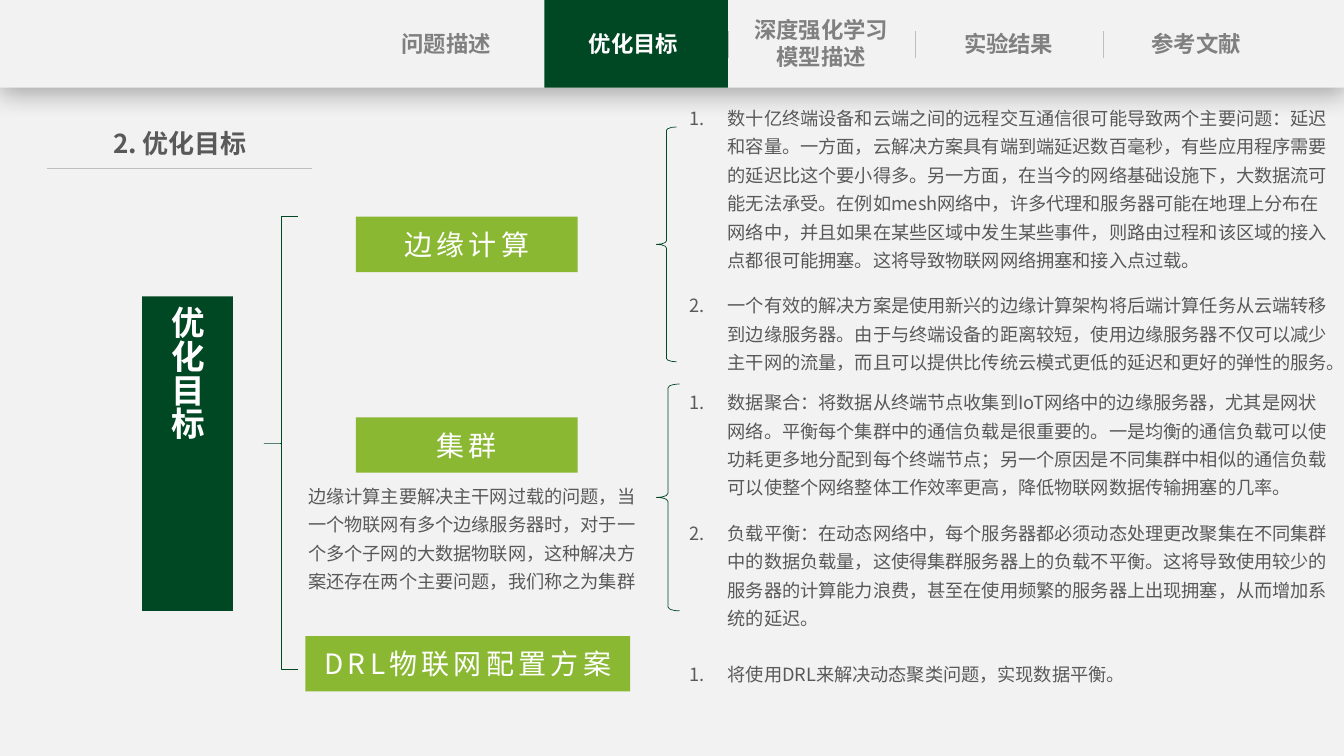
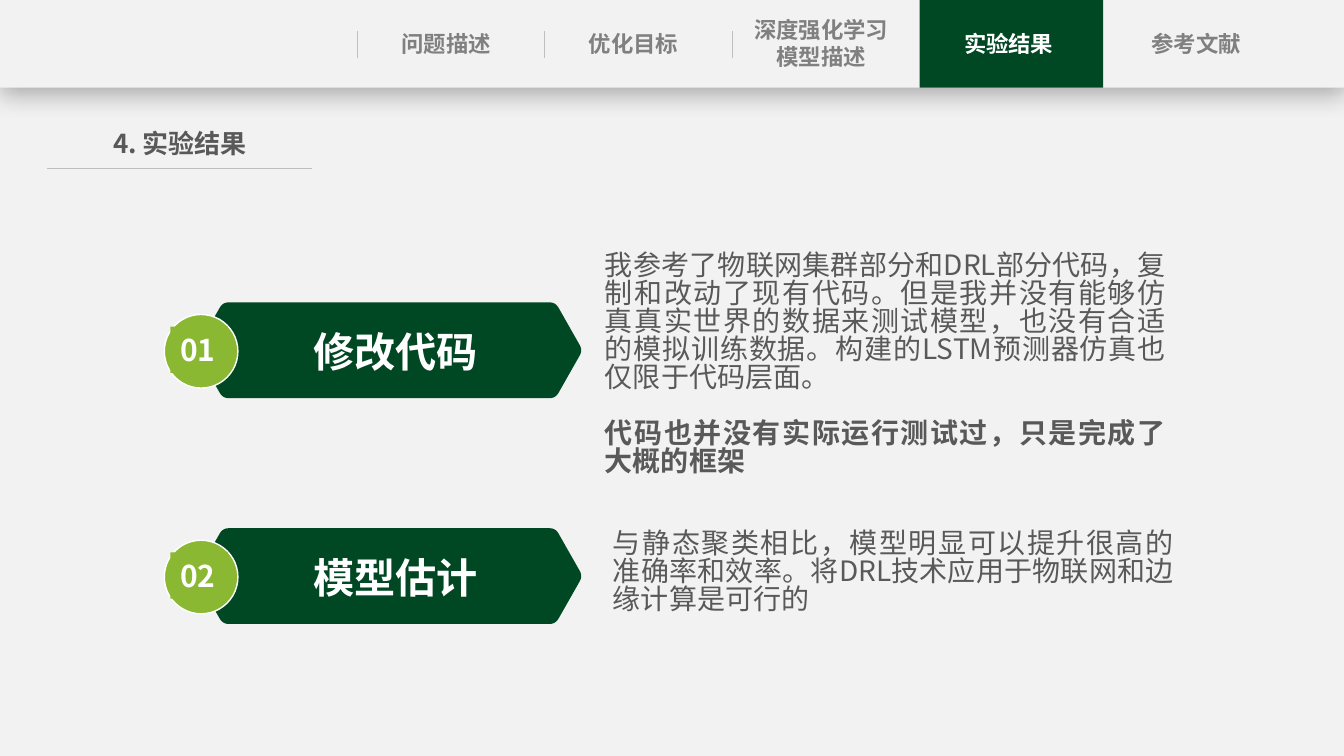
import pptx
import pptx.dml.color
import pptx.enum.lang
import pptx.enum.shapes
import pptx.enum.text
import pptx.oxml
import pptx.oxml.ns
import pptx.util
from lxml import etree

# The grid has 133.3 columns and 75 rows, each a tenth of an inch.
COLUMNS, ROWS = 133.3, 75
FONT = "Noto Sans CJK SC"
PALE, DARK, GREEN = "F2F2F2", "004723", "8AB833"
WHITE, RULE, MUTED, INK = "FFFFFF", "BFBFBF", "808080", "595959"

PRESET = pptx.enum.shapes.MSO_SHAPE
ANCHOR = pptx.enum.text.MSO_ANCHOR
ALIGN = pptx.enum.text.PP_ALIGN
Pt = pptx.util.Pt

CENTER = {"alignment": ALIGN.CENTER}
LOOSE = {"line_spacing": 1.3, "space_after": Pt(6)}
EXACT = {"alignment": ALIGN.JUSTIFY, "line_spacing": Pt(20)}
STYLES = {
    "tab": dict(size=16, color=MUTED, bold=True, paragraph=CENTER),
    "active tab": dict(size=16, color=WHITE, bold=True, paragraph=CENTER),
    "title": dict(size=18.6, color=INK, bold=True, paragraph=CENTER),
    "pillar": dict(size=24, color=WHITE, bold=True, paragraph={"alignment": ALIGN.LEFT}),
    "topic": dict(size=20, color=WHITE, paragraph=CENTER, spacing=3),
    "note": dict(size=13, color=INK, paragraph=LOOSE),
    "item": dict(size=13, color=INK, paragraph=LOOSE, numbered=True),
    "next item": dict(size=13, color=INK, numbered=True,
                      paragraph={**LOOSE, "space_before": Pt(6)}),
    "body": dict(size=20, color=INK, paragraph=EXACT),
    "strong body": dict(size=20, color=INK, bold=True,
                        paragraph={**EXACT, "space_before": Pt(20)}),
    "badge": dict(size=21.4, color=WHITE, bold=True, paragraph={"alignment": ALIGN.LEFT}),
    "step": dict(size=29.4, color=WHITE, bold=True, paragraph=CENTER),
}
NO_INSETS = dict.fromkeys(("margin_left", "margin_top", "margin_right", "margin_bottom"), 0)
NO_SIDES = {"margin_left": 0, "margin_right": 0}
TABS = ["问题描述", "优化目标", "深度强化学习模型描述", "实验结果", "参考文献"]
TAB_START, TAB_PITCH, TAB_WIDTH, HEADER_HEIGHT = 35.4, 18.6, 18.2, 8.7


def grid(*lengths):
    return [pptx.util.Inches(length / 10) for length in lengths]


def inside(box, left, top, width, height):
    """Turn a place relative to the box into a place on the slide."""
    return box[0] + left, box[1] + top, width, height


def rgb(color):
    return pptx.dml.color.RGBColor.from_string(color)


def set_values(target, values):
    for name, value in values.items():
        setattr(target, name, value)


def paint(shape, fill=None, line=None, width=0.5):
    shape.shadow.inherit = False
    if fill:
        shape.fill.solid()
        shape.fill.fore_color.rgb = rgb(fill)
    else:
        shape.fill.background()
    if line:
        shape.line.color.rgb = rgb(line)
        shape.line.width = Pt(width)
    else:
        shape.line.fill.background()
    return shape


def add_preset(shapes, preset, box, **colors):
    return paint(shapes.add_shape(preset, *grid(*box)), **colors)


def add_rule(slide, start, end):
    connector = slide.shapes.add_connector(
        pptx.enum.shapes.MSO_CONNECTOR.STRAIGHT, *grid(*start, *end))
    connector.line.color.rgb = rgb(RULE)
    connector.line.width = Pt(0.5)
    etree.SubElement(connector._element.spPr, pptx.oxml.ns.qn("a:effectLst"))


def write(shape, *paragraphs, **frame_values):
    """Fill a shape with (text, style name) paragraphs."""
    frame = shape.text_frame
    set_values(frame, {"word_wrap": True, "auto_size": pptx.enum.text.MSO_AUTO_SIZE.NONE,
                       "vertical_anchor": ANCHOR.TOP, **frame_values})
    for index, (text, style_name) in enumerate(paragraphs):
        style = STYLES[style_name]
        paragraph = frame.add_paragraph() if index else frame.paragraphs[0]
        if style.get("numbered"):
            properties = paragraph._p.get_or_add_pPr()
            indent = pptx.util.Inches(0.38)
            properties.set("marL", str(indent))
            properties.set("indent", str(-indent))
            etree.SubElement(properties, pptx.oxml.ns.qn("a:buAutoNum"), type="arabicPeriod")
        set_values(paragraph, style["paragraph"])
        run = paragraph.add_run()
        run.text = text
        set_values(run.font, {
            "name": FONT, "size": Pt(style["size"]), "bold": style.get("bold", False),
            "language_id": pptx.enum.lang.MSO_LANGUAGE_ID.SIMPLIFIED_CHINESE})
        run.font.color.rgb = rgb(style["color"])
        properties = run._r.get_or_add_rPr()
        etree.SubElement(properties, pptx.oxml.ns.qn("a:ea"), typeface=FONT)
        if "spacing" in style:
            properties.set("spc", str(style["spacing"] * 100))


def add_text(slide, box, *paragraphs, **frame_values):
    write(slide.shapes.add_textbox(*grid(*box)), *paragraphs, **frame_values)


def add_header(slide, active, first_divider):
    """Draw the navigation bar with its active tab and three dividers."""
    bar = add_preset(slide.shapes, PRESET.RECTANGLE, (0, 0, COLUMNS, HEADER_HEIGHT), fill=PALE)
    effects = bar._element.spPr.find(pptx.oxml.ns.qn("a:effectLst"))
    effects.append(pptx.oxml.parse_xml(
        f'<a:outerShdw {pptx.oxml.ns.nsdecls("a")} blurRad="{Pt(18)}" dist="{Pt(4)}" '
        'dir="5400000" algn="t" rotWithShape="0"><a:srgbClr val="000000">'
        '<a:alpha val="29000"/></a:srgbClr></a:outerShdw>'))
    for index in range(3):
        left = first_divider + index * TAB_PITCH
        add_rule(slide, (left, 3.1), (left, 5.8))
    for index, label in enumerate(TABS):
        box = (TAB_START + index * TAB_PITCH, 0, TAB_WIDTH, HEADER_HEIGHT)
        if index == active:
            add_preset(slide.shapes, PRESET.RECTANGLE, box, fill=DARK)
        add_text(slide, inside(box, 1.5, 1.2, 14.7, 6.2),
                 (label, "active tab" if index == active else "tab"),
                 vertical_anchor=ANCHOR.MIDDLE, **NO_SIDES)


def add_section_slide(presentation, active, first_divider):
    slide = presentation.slides.add_slide(presentation.slide_layouts[5])
    add_header(slide, active, first_divider)
    title = slide.shapes.title
    set_values(title, dict(zip(("left", "top", "width", "height"),
                               grid(7.5, 12.1, 20.7, 4.2))))
    write(title, (f"{active + 1}. {TABS[active]}", "title"), **NO_SIDES)
    add_rule(slide, (4.7, 16.7), (30.9, 16.7))
    return slide


def add_brace(slide, box, curve):
    brace = add_preset(slide.shapes, PRESET.LEFT_BRACE, box, line=DARK)
    brace.adjustments[0], brace.adjustments[1] = curve, 0.5


def add_topic(slide, box, label):
    topic = add_preset(slide.shapes, PRESET.RECTANGLE, box, fill=GREEN)
    write(topic, (label, "topic"), vertical_anchor=ANCHOR.MIDDLE)


def add_numbered_list(slide, box, *items):
    add_text(slide, box, *((text, "next item" if index else "item")
                           for index, text in enumerate(items)))


def build_goals(presentation):
    slide = add_section_slide(presentation, active=1, first_divider=72.2)
    pillar = add_preset(slide.shapes, PRESET.RECTANGLE, (14.1, 29.4, 9, 31.2), fill=DARK)
    write(pillar, (TABS[1], "pillar"), vertical_anchor=ANCHOR.MIDDLE)
    pillar.text_frame._txBody.bodyPr.set("vert", "eaVert")

    for box, curve in [((26.2, 21.5, 3.4, 44.9), 0), ((65.1, 38.1, 2.3, 22.5), 0.17),
                       ((65.1, 12.6, 2, 23.3), 0.17)]:
        add_brace(slide, box, curve)
    for left, top, width, label in [(35.3, 21.5, 22, "边缘计算"), (35.3, 41.4, 22, "集群"),
                                    (30.3, 63.1, 32.2, "DRL物联网配置方案")]:
        add_topic(slide, (left, top, width, 5.5), label)
    add_text(slide, (29.6, 47, 36.1, 12.4), (
        "边缘计算主要解决主干网过载的问题，当一个物联网有多个边缘服务器时，对于一个多个子网的"
        "大数据物联网，这种解决方案还存在两个主要问题，我们称之为集群", "note"))

    add_numbered_list(
        slide, (67.4, 9.5, 65.9, 28.2),
        "数十亿终端设备和云端之间的远程交互通信很可能导致两个主要问题：延迟和容量。一方面，"
        "云解决方案具有端到端延迟数百毫秒，有些应用程序需要的延迟比这个要小得多。另一方面，"
        "在当今的网络基础设施下，大数据流可能无法承受。在例如mesh网络中，许多代理和服务器"
        "可能在地理上分布在网络中，并且如果在某些区域中发生某些事件，则路由过程和该区域的接入"
        "点都很可能拥塞。这将导致物联网网络拥塞和接入点过载。",
        "一个有效的解决方案是使用新兴的边缘计算架构将后端计算任务从云端转移到边缘服务器。"
        "由于与终端设备的距离较短，使用边缘服务器不仅可以减少主干网的流量，而且可以提供比传统"
        "云模式更低的延迟和更好的弹性的服务。")
    add_numbered_list(
        slide, (67.4, 37.7, 65.9, 25.4),
        "数据聚合：将数据从终端节点收集到IoT网络中的边缘服务器，尤其是网状网络。平衡每个集群"
        "中的通信负载是很重要的。一是均衡的通信负载可以使功耗更多地分配到每个终端节点；另一个"
        "原因是不同集群中相似的通信负载可以使整个网络整体工作效率更高，降低物联网数据传输拥塞"
        "的几率。",
        "负载平衡：在动态网络中，每个服务器都必须动态处理更改聚集在不同集群中的数据负载量，"
        "这使得集群服务器上的负载不平衡。这将导致使用较少的服务器的计算能力浪费，甚至在使用"
        "频繁的服务器上出现拥塞，从而增加系统的延迟。")
    add_numbered_list(slide, (67.4, 64.7, 63.4, 3.8),
                      "将使用DRL来解决动态聚类问题，实现数据平衡。")


def rounded_outline(corners, cut, steps=6):
    """Return the points of a polygon whose corners are quadratic curves."""
    points = []
    for index, (x, y) in enumerate(corners):
        ends = []
        for other_x, other_y in (corners[index - 1], corners[(index + 1) % len(corners)]):
            share = cut / ((other_x - x) ** 2 + (other_y - y) ** 2) ** 0.5
            ends.append((x + (other_x - x) * share, y + (other_y - y) * share))
        (start_x, start_y), (end_x, end_y) = ends
        for step in range(steps + 1):
            t = step / steps
            points.append(((1 - t) ** 2 * start_x + 2 * t * (1 - t) * x + t * t * end_x,
                           (1 - t) ** 2 * start_y + 2 * t * (1 - t) * y + t * t * end_y))
    return points


def add_hexagon(slide, box):
    left, top, width, height = box
    shoulder, middle = 2.7, top + height / 2
    right, bottom = left + width, top + height
    corners = [(left, middle), (left + shoulder, top), (right - shoulder, top),
               (right, middle), (right - shoulder, bottom), (left + shoulder, bottom)]
    points = [tuple(grid(*point)) for point in rounded_outline(corners, 0.6)]
    builder = slide.shapes.build_freeform(*points[0])
    builder.add_line_segments(points[1:], close=True)
    paint(builder.convert_to_shape(), fill=DARK)


def add_badge(slide, box, number):
    group = slide.shapes.add_group_shape()
    add_preset(group.shapes, PRESET.OVAL, box, fill=GREEN, line=WHITE, width=1)
    plate = add_preset(group.shapes, PRESET.RECTANGLE, inside(box, 0.6, 1.2, 5.7, 4.6), fill=GREEN)
    write(plate, (number, "badge"), word_wrap=False)


def add_step(slide, box, number, label):
    add_hexagon(slide, inside(box, 3.1, 0, 38.4, 9.5))
    add_badge(slide, inside(box, 0, 1.2, 7.3, 7.3), number)
    add_text(slide, inside(box, 10.4, 2.4, 25.1, 4.9), (label, "step"), **NO_INSETS)


def build_results(presentation):
    slide = add_section_slide(presentation, active=3, first_divider=TAB_START)
    for top, number, label in [(30, "01", "修改代码"), (52.4, "02", "模型估计")]:
        add_step(slide, (16.3, top, 41.5, 9.5), number, label)
    add_text(slide, (60, 25.1, 55.6, 22.4),
             ("我参考了物联网集群部分和DRL部分代码，复制和改动了现有代码。但是我并没有能够仿真真实"
              "世界的数据来测试模型，也没有合适的模拟训练数据。构建的LSTM预测器仿真也仅限于代码"
              "层面。", "body"),
             ("代码也并没有实际运行测试过，只是完成了大概的框架", "strong body"), **NO_INSETS)
    add_text(slide, (60.8, 52.7, 55.6, 8.4),
             ("与静态聚类相比，模型明显可以提升很高的准确率和效率。将DRL技术应用于物联网和边缘"
              "计算是可行的", "body"), **NO_INSETS)


def main():
    presentation = pptx.Presentation()
    presentation.slide_width, presentation.slide_height = grid(COLUMNS, ROWS)
    background = presentation.slide_master.background.fill
    background.solid()
    background.fore_color.rgb = rgb(PALE)
    build_goals(presentation)
    build_results(presentation)
    presentation.save("out.pptx")


if __name__ == "__main__":
    main()
